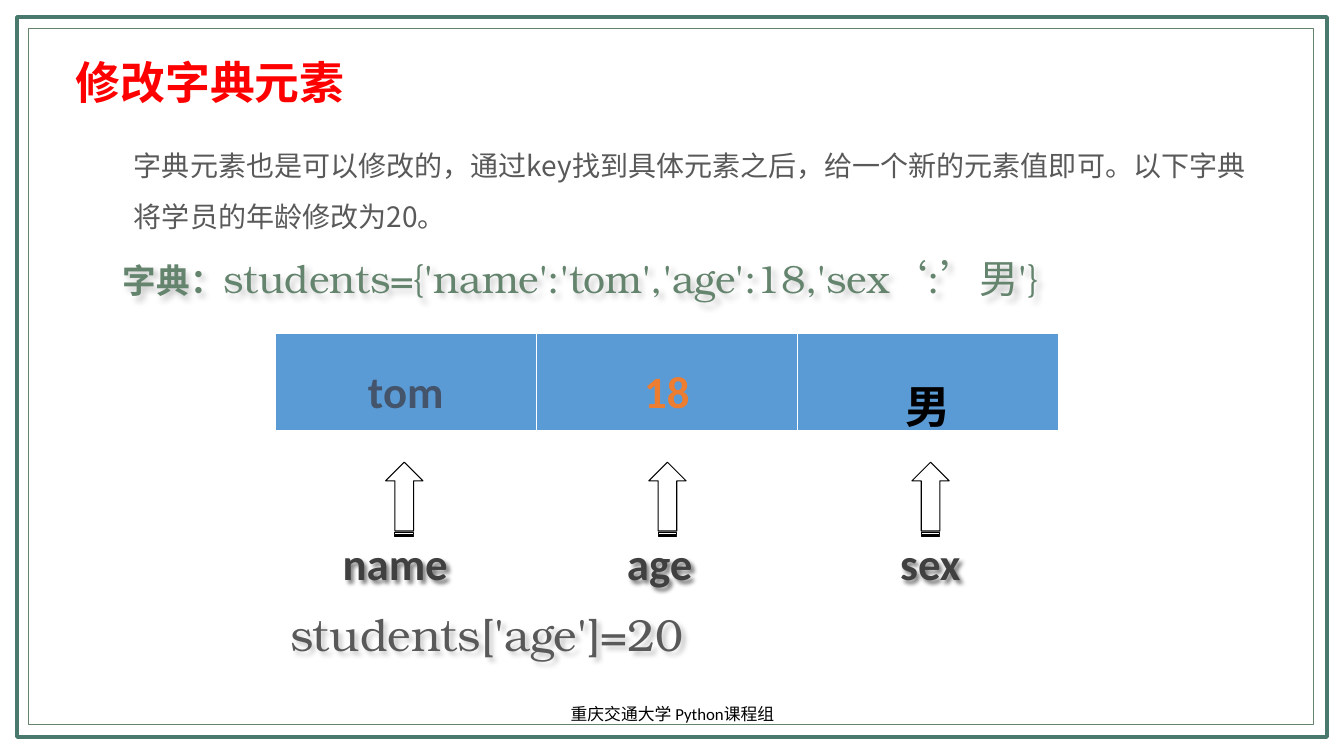
from lxml import etree
from pptx import Presentation
from pptx.dml.color import RGBColor
from pptx.enum.shapes import MSO_SHAPE as Shape
from pptx.enum.text import MSO_ANCHOR as Anchor, MSO_AUTO_SIZE as AutoSize, PP_ALIGN as Align
from pptx.oxml.ns import qn
from pptx.util import Pt

PX = 9144  # 100 px to the inch
COLORS = {
    "frame": "49786D", "green": "64846E", "red": "FF0000", "gray": "595959",
    "label": "404040", "cell": "5B9BD5", "slate": "44546A", "orange": "ED7D31",
    "black": "000000", "white": "FFFFFF",
}
SANS, CODE, CJK = "Calibri", "TeX Gyre Bonum", "Noto Sans CJK SC"


def emu(*lengths):
    return [length * PX for length in lengths]


def rgb(name):
    return RGBColor.from_string(COLORS[name])


def add_run(paragraph, text, size, font, color, bold=False):
    run = paragraph.add_run()
    run.text = text
    run.font.size, run.font.name, run.font.bold = Pt(size), font, bold
    run.font.color.rgb = rgb(color)
    east_asian = etree.Element(qn("a:ea"), typeface=CJK)
    run.font._element.find(qn("a:latin")).addnext(east_asian)


def add_text(slide, box, *runs, wrap=True):
    """Add a text box with one paragraph; each run is (text, size, font, color, bold)."""
    shape = slide.shapes.add_textbox(*emu(*box))
    shape.text_frame.word_wrap = wrap
    paragraph = shape.text_frame.paragraphs[0]
    for run in runs:
        add_run(paragraph, *run)
    return shape


def add_text_shadow(shape, opacity):
    effects = etree.SubElement(shape._element.spPr, qn("a:effectLst"))
    shadow = etree.SubElement(effects, qn("a:outerShdw"), blurRad="38100",
                              dist="38100", dir="2700000", algn="tl")
    color = etree.SubElement(shadow, qn("a:srgbClr"), val=COLORS["black"])
    etree.SubElement(color, qn("a:alpha"), val=str(opacity * 1000))


def add_outline(slide, kind, box, color, width):
    shape = slide.shapes.add_shape(kind, *emu(*box))
    shape.shadow.inherit = False
    shape.fill.background()
    shape.line.color.rgb = rgb(color)
    shape.line.width = Pt(width)
    return shape


def add_frame(slide, box):
    left, top, width, height = box
    add_outline(slide, Shape.RECTANGLE, box, "frame", 3)
    inner = (left + 11, top + 11, width - 24, height - 23)
    add_outline(slide, Shape.RECTANGLE, inner, "green", 0.5)


def add_title(slide, box):
    title = slide.shapes.title
    title.left, title.top, title.width, title.height = emu(*box)
    frame = title.text_frame
    frame.auto_size, frame.vertical_anchor = AutoSize.NONE, Anchor.TOP
    paragraph = frame.paragraphs[0]
    paragraph.alignment = Align.LEFT
    add_run(paragraph, "修改字典元素", 32, CJK, "red", True)


def add_explanation(slide, box):
    text = "字典元素也是可以修改的，通过key找到具体元素之后，给一个新的元素值即可。以下字典将学员的年龄修改为20。"
    shape = add_text(slide, box, (text, 20, CJK, "gray"))
    paragraph = shape.text_frame.paragraphs[0]
    paragraph.line_spacing, paragraph.space_before = 1.5, Pt(12)


def add_code(slide, box, *runs):
    add_text_shadow(add_text(slide, box, *runs), 20)


def add_cell_borders(cell):
    properties = cell._tc.get_or_add_tcPr()
    for index, (side, width) in enumerate((("L", 1), ("R", 1), ("T", 1), ("B", 3))):
        line = etree.Element(qn(f"a:ln{side}"), w=str(Pt(width)))
        fill = etree.SubElement(line, qn("a:solidFill"))
        etree.SubElement(fill, qn("a:srgbClr"), val=COLORS["white"])
        properties.insert(index, line)


def add_values(slide, box, values):
    table = slide.shapes.add_table(1, len(values), *emu(*box)).table
    for cell, (text, color) in zip(table.rows[0].cells, values):
        cell.fill.solid()
        cell.fill.fore_color.rgb = rgb("cell")
        add_cell_borders(cell)
        paragraph = cell.text_frame.paragraphs[0]
        paragraph.alignment, paragraph.line_spacing = Align.CENTER, 1.5
        add_run(paragraph, text, 32, SANS, color, True)


def add_keys(slide, box, keys):
    """Add a row of upward arrows, one every 261 px, above the key names."""
    left, top, width, height = box
    for index, (key, label_left, label_width) in enumerate(keys):
        arrow_box = (left + index * 261, top + 19, 74, 37)
        arrow = add_outline(slide, Shape.STRIPED_RIGHT_ARROW, arrow_box, "black", 0.75)
        arrow.rotation = 270
        label_box = (left + label_left, top + 69, label_width, height - 69)
        label = add_text(slide, label_box, (key, 32, SANS, "label", True))
        add_text_shadow(label, 50)


def add_footer(slide, box):
    shape = add_text(slide, box, ("重庆交通大学 Python课程组", 12, SANS, "black"))
    shape.text_frame.vertical_anchor = Anchor.MIDDLE
    shape.text_frame.paragraphs[0].alignment = Align.CENTER


def main():
    presentation = Presentation()
    presentation.slide_width, presentation.slide_height = emu(1333, 750)
    slide = presentation.slides.add_slide(presentation.slide_layouts[5])
    add_frame(slide, (17, 17, 1299, 714))
    add_title(slide, (65, 49, 427, 64))
    add_explanation(slide, (123, 126, 1128, 111))
    add_code(slide, (112, 247, 1083, 57),
             ("字典：", 24, "Roboto", "green", True),
             ("students={'name':'tom','age':18,'sex‘:’男'}", 28, CODE, "green"))
    add_values(slide, (273, 331, 777, 97),
               [("tom", "slate"), ("18", "orange"), ("男", "black")])
    add_keys(slide, (364, 458, 596, 133),
             [("name", -34, 178), ("age", 248, 108), ("sex", 519, 97)])
    add_code(slide, (278, 597, 605, 64), ("students['age']=20", 32, CODE, "gray"))
    add_footer(slide, (442, 688, 450, 40))
    presentation.save("out.pptx")


if __name__ == "__main__":
    main()
